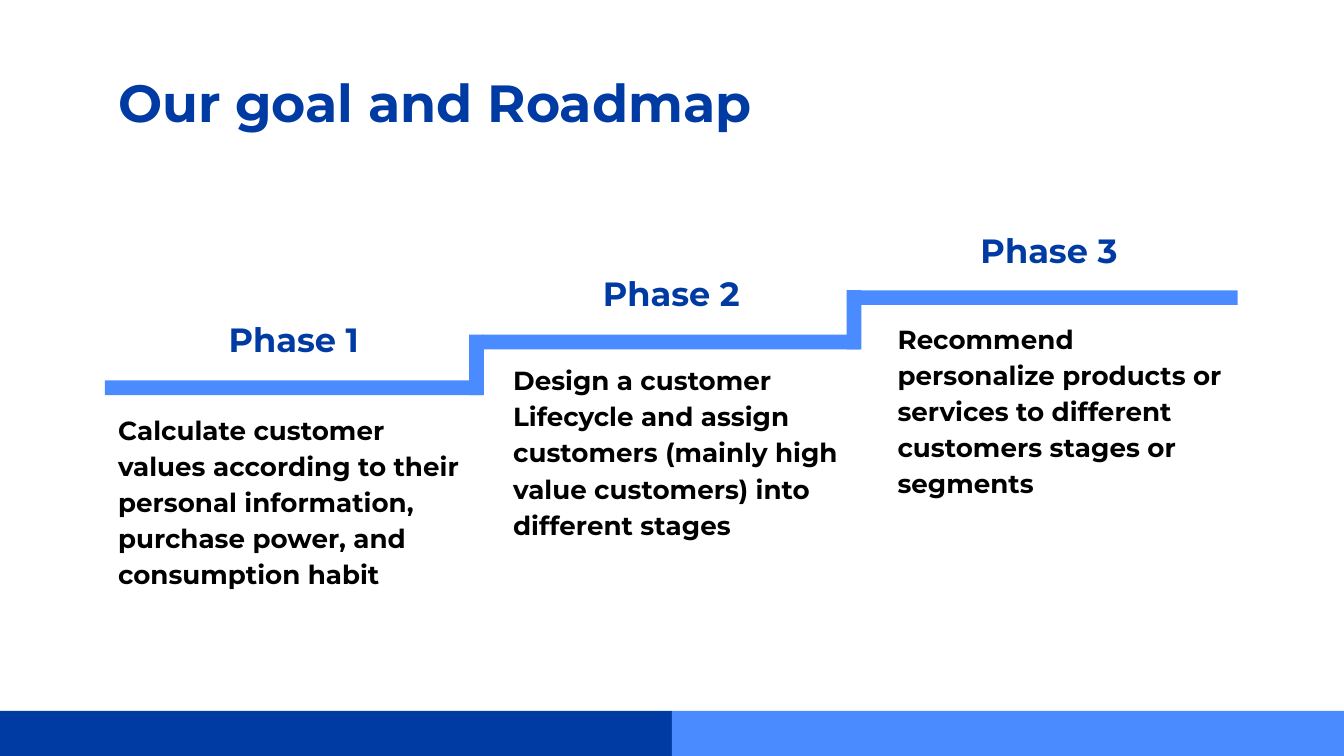
from pptx import Presentation
from pptx.dml.color import RGBColor
from pptx.enum.shapes import MSO_SHAPE
from pptx.enum.text import MSO_ANCHOR, MSO_AUTO_SIZE, PP_ALIGN
from pptx.util import Inches, Pt

NAVY, SKY, BLACK = "003BA3", "4A8CFF", "000000"
TITLE = "Our goal and Roadmap"
PHASES = [
    {"name": "Phase 1", "bar_y": 2.83, "name_y": 2.27,
     "text": "Calculate customer values according to their personal information, "
             "purchase power, and consumption habit",
     "box": (0.78, 2.95, 2.81, 1.64)},
    {"name": "Phase 2", "bar_y": 2.49, "name_y": 1.93,
     "text": "Design a customer Lifecycle and assign customers (mainly high value "
             "customers) into different stages",
     "box": (3.72, 2.58, 2.63, 1.57)},
    {"name": "Phase 3", "bar_y": 2.16, "name_y": 1.61,
     "text": "Recommend personalize products or services to different customers "
             "stages or segments",
     "box": (6.58, 2.27, 2.63, 1.51)},
]
SLIDE_W, SLIDE_H = 10, 10 * 9 / 16
LEFT, STEP, THICK, OVERLAP = 0.78, 2.81, 0.11, 0.01
NAME_W, NAME_H = 1.69, 0.45
FOOTER_Y = 5.29


def rgb(color):
    return RGBColor.from_string(color)


def add_bar(s, x, y, w, h, color):
    sp = s.shapes.add_shape(MSO_SHAPE.RECTANGLE, *map(Inches, (x, y, w, h)))
    sp.shadow.inherit = False
    sp.fill.solid()
    sp.fill.fore_color.rgb = rgb(color)
    sp.line.fill.background()


def set_text(sp, text, size, color, align=PP_ALIGN.LEFT):
    tf = sp.text_frame
    tf.text = text
    tf.word_wrap = True
    tf.auto_size = MSO_AUTO_SIZE.NONE
    tf.vertical_anchor = MSO_ANCHOR.TOP
    tf.margin_left = tf.margin_right = tf.margin_top = tf.margin_bottom = Inches(0.1)
    p = tf.paragraphs[0]
    p.alignment = align
    font = p.runs[0].font
    font.name, font.size, font.bold = "Montserrat", Pt(size), True
    font.color.rgb = rgb(color)
    return p


def add_text(s, box, *style):
    return set_text(s.shapes.add_textbox(*map(Inches, box)), *style)


def main():
    prs = Presentation()
    prs.slide_width, prs.slide_height = Inches(SLIDE_W), Inches(SLIDE_H)
    s = prs.slides.add_slide(prs.slide_layouts[5])

    title = s.shapes.title
    title.left, title.top, title.width, title.height = map(Inches, (LEFT, 0.42, 8.43, 1.02))
    set_text(title, TITLE, 28, NAVY)

    for i, phase in enumerate(PHASES):
        x, y = LEFT + i * STEP, phase["bar_y"]
        add_bar(s, x, y, STEP, THICK, SKY)
        if i:
            riser_h = PHASES[i - 1]["bar_y"] + THICK - y
            add_bar(s, x - THICK + OVERLAP, y, THICK, riser_h, SKY)
        name_box = (x + (STEP - NAME_W) / 2, phase["name_y"], NAME_W, NAME_H)
        p = add_text(s, name_box, phase["name"], 18, NAVY, PP_ALIGN.CENTER)
        p.space_after = Pt(16)
        p = add_text(s, phase["box"], phase["text"], 14, BLACK)
        p.line_spacing, p.space_before = 1.15, Pt(10)

    half = SLIDE_W / 2
    for i, color in enumerate((NAVY, SKY)):
        add_bar(s, i * half, FOOTER_Y, half, SLIDE_H - FOOTER_Y, color)

    prs.save("out.pptx")


if __name__ == "__main__":
    main()
